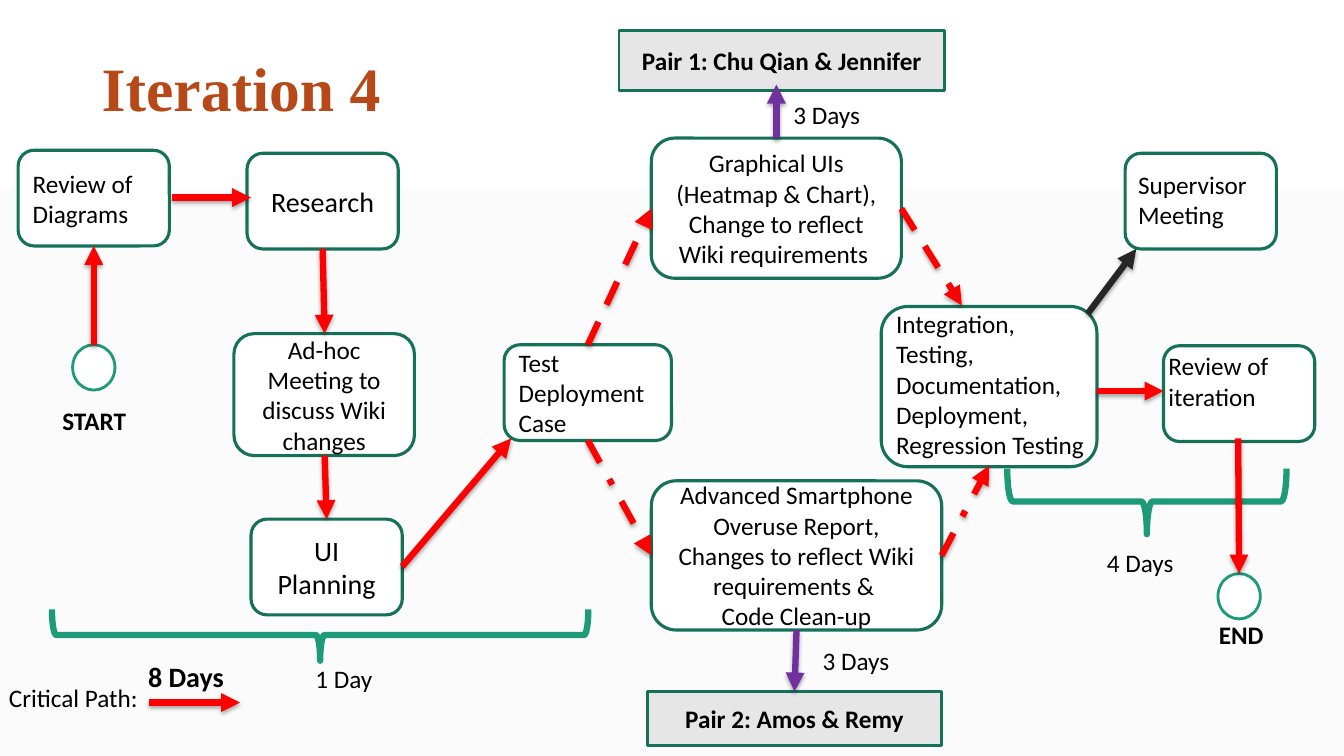
from lxml import etree
from pptx import Presentation
from pptx.dml.color import RGBColor
from pptx.enum.dml import MSO_LINE
from pptx.enum.shapes import MSO_CONNECTOR, MSO_SHAPE
from pptx.enum.text import MSO_ANCHOR, PP_ALIGN
from pptx.oxml import parse_xml
from pptx.oxml.ns import nsdecls, qn
from pptx.util import Inches, Pt

GREEN, TEAL = "157259", "1D9A78"
RED, PURPLE, CHARCOAL = "FF0000", "7030A0", "262626"
LEFT, CENTER = PP_ALIGN.LEFT, PP_ALIGN.CENTER
DASH, DASH_DOT = MSO_LINE.DASH, MSO_LINE.DASH_DOT
SHADOW = (
    f'<a:effectLst {nsdecls("a")}><a:outerShdw blurRad="39370" dist="22860" dir="5400000">'
    '<a:srgbClr val="000000"><a:alpha val="35000"/></a:srgbClr>'
    '</a:outerShdw></a:effectLst>'
)


def color(value):
    return RGBColor.from_string(value)


def write(shape, paragraphs, size=18, bold=False, align=LEFT, anchor=MSO_ANCHOR.TOP,
          font_name="Calibri", font_color="000000"):
    frame = shape.text_frame
    frame.word_wrap = True
    frame.vertical_anchor = anchor
    for index, text in enumerate(paragraphs):
        paragraph = frame.add_paragraph() if index else frame.paragraphs[0]
        paragraph.alignment = align
        run = paragraph.add_run()
        run.text = text
        run.font.name = font_name
        run.font.size = Pt(size)
        run.font.bold = bold
        run.font.color.rgb = color(font_color)


presentation = Presentation()
presentation.slide_width = Inches(13.33)
presentation.slide_height = Inches(7.5)
slide = presentation.slides.add_slide(presentation.slide_layouts[6])

# Background
background = slide.background.fill
background.gradient()
background.gradient_angle = 270
for stop, (position, shade) in zip(background.gradient_stops, [(0, "FFFFFF"), (0.5, "FBFBFB")]):
    stop.position = position
    stop.color.rgb = color(shade)

# Title
title = slide.shapes.add_textbox(Inches(0.91), Inches(0.18), Inches(11.5), Inches(1.45))
write(title, ["Iteration 4"], 44, True, anchor=MSO_ANCHOR.MIDDLE,
      font_name="Times New Roman", font_color="B74919")
title.text_frame.paragraphs[0].line_spacing = 0.9

# Pair banners
banners = [
    (6.14, 0.3, 3.23, 0.6, "Pair 1: Chu Qian & Jennifer"),
    (6.42, 6.86, 2.92, 0.54, "Pair 2: Amos & Remy"),
]
for left, top, width, height, text in banners:
    banner = slide.shapes.add_shape(MSO_SHAPE.RECTANGLE, Inches(left), Inches(top),
                                    Inches(width), Inches(height))
    banner.shadow.inherit = False
    banner.fill.solid()
    banner.fill.fore_color.rgb = color("E7E6E6")
    banner.line.color.rgb = color(GREEN)
    banner.line.width = Pt(2)
    write(banner, [text], bold=True, align=CENTER, anchor=MSO_ANCHOR.MIDDLE)

# Task boxes; three of them carry their text in a separate label
tasks = [
    (0.18, 1.49, 1.5, 0.95, ["Review of Diagrams"], 18, LEFT),
    (2.45, 1.52, 1.5, 0.95, ["Research"], 20, CENTER),
    (2.32, 3.31, 1.79, 1.21, ["Ad-hoc Meeting to discuss Wiki changes"], 18, CENTER),
    (2.49, 5.15, 1.5, 0.95, ["UI Planning"], 20, CENTER),
    (5, 3.42, 1.66, 0.95, ["Test Deployment Case"], 18, LEFT),
    (6.46, 1.37, 2.48, 1.39,
     ["Graphical UIs (Heatmap & Chart), Change to reflect Wiki requirements "], 18, CENTER),
    (6.46, 4.77, 2.88, 1.48,
     ["Advanced Smartphone Overuse Report, Changes to reflect Wiki requirements & ",
      "Code Clean-up"], 18, CENTER),
    (8.74, 3.04, 2.14, 1.59, [], 18, LEFT),
    (11.16, 1.52, 1.5, 0.95, [], 18, LEFT),
    (11.54, 3.43, 1.5, 0.95, [], 18, LEFT),
]
for left, top, width, height, paragraphs, size, align in tasks:
    task = slide.shapes.add_shape(MSO_SHAPE.ROUNDED_RECTANGLE, Inches(left), Inches(top),
                                  Inches(width), Inches(height))
    task.shadow.inherit = False
    task.fill.solid()
    task.fill.fore_color.rgb = color("FFFFFF")
    task.line.color.rgb = color(GREEN)
    task.line.width = Pt(2.25)
    write(task, paragraphs, size, align=align, anchor=MSO_ANCHOR.MIDDLE)

# Start and end circles
for left, top in [(0.72, 3.42), (12.08, 5.69)]:
    circle = slide.shapes.add_shape(MSO_SHAPE.OVAL, Inches(left), Inches(top),
                                    Inches(0.42), Inches(0.45))
    circle.shadow.inherit = False
    circle.fill.solid()
    circle.fill.fore_color.rgb = color("FFFFFF")
    circle.line.color.rgb = color(TEAL)
    circle.line.width = Pt(2)

# Duration braces, turned to point down
for left, top, width, height in [(2.92, 3.64, 0.51, 5.32), (11.05, 3.59, 0.65, 2.77)]:
    brace = slide.shapes.add_shape(MSO_SHAPE.RIGHT_BRACE, Inches(left), Inches(top),
                                   Inches(width), Inches(height))
    brace.rotation = 90
    brace.shadow.inherit = False
    brace.fill.background()
    brace.line.color.rgb = color(TEAL)
    brace.line.width = Pt(4.5)

# Labels
labels = [
    (11.19, 1.63, 1.32, 0.71, "Supervisor Meeting", 18, False),
    (11.49, 3.43, 1.38, 0.71, "Review of iteration", 18, False),
    (8.79, 3.01, 2.2, 1.62,
     "Integration, Testing, Documentation, Deployment, Regression Testing", 18, False),
    (7.77, 0.94, 1.08, 0.4, "3 Days", 18, False),
    (8.06, 6.35, 1.08, 0.4, "3 Days", 18, False),
    (10.88, 5.38, 1.08, 0.4, "4 Days", 18, False),
    (3.03, 6.53, 1.08, 0.4, "1 Day", 18, False),
    (0.52, 3.97, 0.99, 0.4, "START", 18, True),
    (11.99, 6.09, 0.67, 0.4, "END", 18, True),
    (-0.01, 6.72, 2.97, 0.4, "Critical Path:", 18, False),
    (1.37, 6.49, 1.19, 0.77, "8 Days", 20, True),
]
for left, top, width, height, text, size, bold in labels:
    label = slide.shapes.add_textbox(Inches(left), Inches(top), Inches(width), Inches(height))
    write(label, [text], size, bold)

# Arrows
arrows = [
    (0.93, 3.42, 0.93, 2.44, RED, None),
    (1.71, 1.96, 2.49, 1.96, RED, None),
    (3.2, 2.47, 3.22, 3.31, RED, None),
    (3.22, 4.52, 3.24, 5.15, RED, None),
    (3.99, 5.62, 5.07, 4.35, RED, None),
    (5.83, 3.42, 6.46, 2.07, RED, DASH),
    (8.94, 2.07, 9.54, 3.03, RED, DASH),
    (5.83, 4.37, 6.46, 5.51, RED, DASH_DOT),
    (9.34, 5.51, 9.81, 4.62, RED, DASH_DOT),
    (10.88, 3.88, 11.54, 3.88, RED, None),
    (12.28, 4.35, 12.29, 5.69, RED, None),
    (1.48, 6.97, 2.38, 6.97, RED, None),
    (10.79, 3.11, 11.27, 2.47, CHARCOAL, None),
    (7.7, 1.37, 7.7, 0.84, PURPLE, None),
    (7.9, 6.25, 7.88, 6.86, PURPLE, None),
]
for start_x, start_y, end_x, end_y, line_color, dash in arrows:
    arrow = slide.shapes.add_connector(MSO_CONNECTOR.STRAIGHT, Inches(start_x), Inches(start_y),
                                       Inches(end_x), Inches(end_y))
    arrow.line.color.rgb = color(line_color)
    arrow.line.width = Pt(4.5)
    if dash:
        arrow.line.dash_style = dash
    properties = arrow._element.spPr
    etree.SubElement(properties.find(qn("a:ln")), qn("a:tailEnd"), type="triangle")
    properties.append(parse_xml(SHADOW))

presentation.save("out.pptx")
